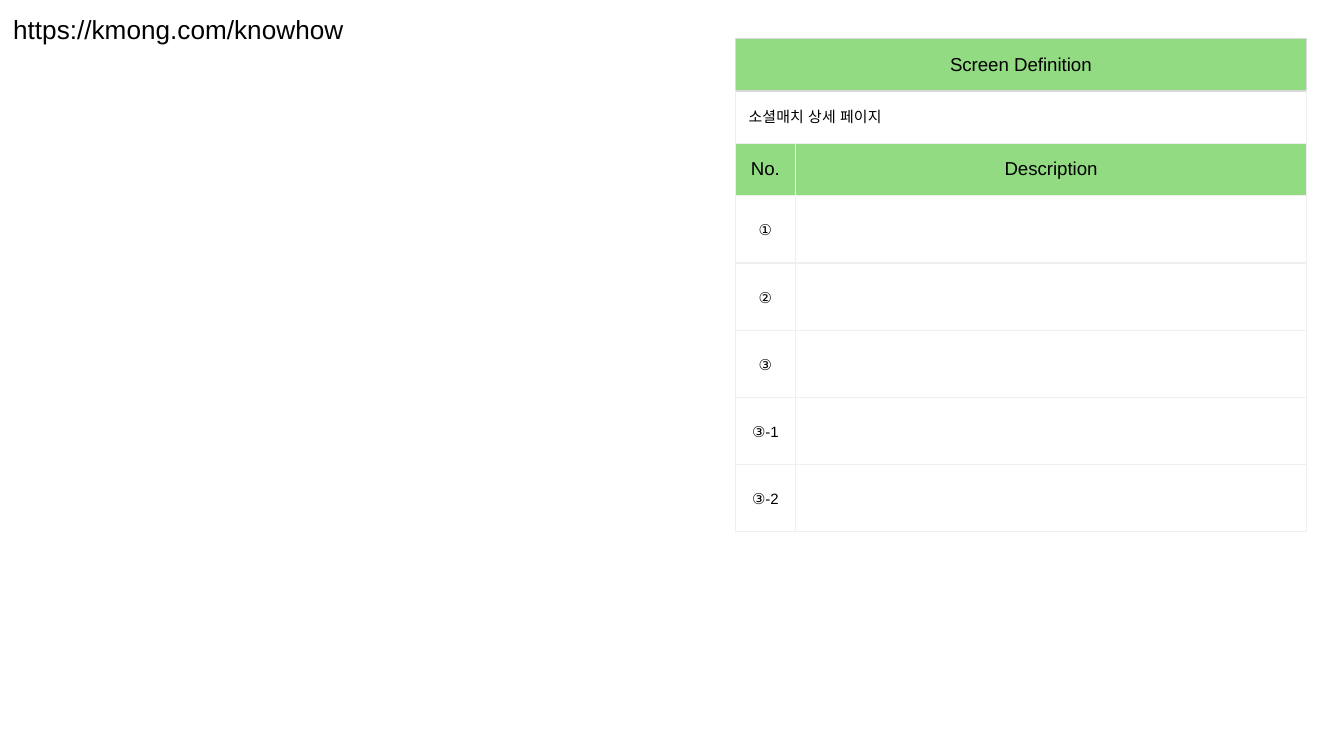
from lxml import etree
from pptx import Presentation
from pptx.dml.color import RGBColor
from pptx.enum.text import MSO_ANCHOR, PP_ALIGN
from pptx.oxml.ns import qn
from pptx.util import Inches, Pt

CENTER, LEFT = PP_ALIGN.CENTER, PP_ALIGN.LEFT
MIDDLE = MSO_ANCHOR.MIDDLE
COLORS = {"text": "000000", "header": "92DB82", "grid": "EFEFEF", "title_edge": "D9D9D9"}
FONT = "Arial"
INSET = Inches(0.1)
SLIDE_W = 10
SLIDE_H = SLIDE_W * 9 / 16
COLUMN_SHARES = (0.45 / 4.25, 3.8 / 4.25)
HEADER_H, ITEM_H = 0.39, 0.5
HEADER_ROWS = (("Screen Definition",), ("소셜매치 상세 페이지",), ("No.", "Description"))
ITEMS = ("①", "②", "③", "③-1", "③-2")


def write(frame, text, size, align):
    """Put one formatted paragraph into a text frame."""
    frame.text = text
    paragraph = frame.paragraphs[0]
    paragraph.alignment = align
    run = paragraph.runs[0]
    run.font.name, run.font.size = FONT, Pt(size)
    run.font.color.rgb = RGBColor.from_string(COLORS["text"])
    etree.SubElement(run._r.get_or_add_rPr(), qn("a:ea"), typeface=FONT)
    return paragraph


def set_insets(holder):
    """Give a text frame or table cell even insets."""
    holder.margin_left = holder.margin_right = INSET
    holder.margin_top = holder.margin_bottom = INSET


def write_cell(cell, text, size, align):
    """Put vertically centred text into a table cell."""
    set_insets(cell)
    cell.vertical_anchor = MIDDLE
    return write(cell.text_frame, text, size, align)


def style_cell(cell, edges, fill=None):
    """Draw the four borders of a cell and set its fill."""
    properties = cell._tc.get_or_add_tcPr()
    for side, color in zip("LRTB", edges):
        line = etree.SubElement(properties, qn(f"a:ln{side}"), w=str(Pt(0.75)))
        solid = etree.SubElement(line, qn("a:solidFill"))
        etree.SubElement(solid, qn("a:srgbClr"), val=COLORS[color])
    if fill:
        cell.fill.solid()
        cell.fill.fore_color.rgb = RGBColor.from_string(COLORS[fill])
    else:
        cell.fill.background()


def add_address(slide, left, top, width, height):
    """Place the page address in its box."""
    box = slide.shapes.add_textbox(*map(Inches, (left, top, width, height)))
    box.text_frame.word_wrap = True
    set_insets(box.text_frame)
    write(box.text_frame, "https://kmong.com/knowhow", 14, LEFT)


def add_definition_table(slide, left, top, width):
    """Build the screen definition table across the given width."""
    heights = [HEADER_H] * len(HEADER_ROWS) + [ITEM_H] * len(ITEMS)
    table = slide.shapes.add_table(
        len(heights), len(COLUMN_SHARES),
        *map(Inches, (left, top, width, sum(heights)))).table
    table.first_row = table.horz_banding = False
    for column, share in zip(table.columns, COLUMN_SHARES):
        column.width = Inches(width * share)

    for index, height in enumerate(heights):
        table.rows[index].height = Inches(height)
        edges = ["grid"] * 4
        if index == 0:
            edges = ["title_edge"] * 4
        elif index == 1:
            edges[2] = "title_edge"
        for cell in table.rows[index].cells:
            style_cell(cell, edges, "header" if index in (0, 2) else None)

    for index, labels in enumerate(HEADER_ROWS):
        if len(labels) == 1:
            table.cell(index, 0).merge(table.cell(index, 1))
        size, align = (8, LEFT) if index == 1 else (10, CENTER)
        for column, label in enumerate(labels):
            write_cell(table.cell(index, column), label, size, align)

    for index, number in enumerate(ITEMS, len(HEADER_ROWS)):
        write_cell(table.cell(index, 0), number, 8, CENTER).line_spacing = 1.15


def main():
    """Create the slide and save it."""
    deck = Presentation()
    deck.slide_width, deck.slide_height = Inches(SLIDE_W), Inches(SLIDE_H)
    slide = deck.slides.add_slide(deck.slide_layouts[6])
    add_address(slide, 0, 0, SLIDE_W * 0.3, SLIDE_H * 0.08)
    add_definition_table(slide, SLIDE_W * 0.547, SLIDE_H * 0.051, SLIDE_W * 0.425)
    deck.save("out.pptx")


if __name__ == "__main__":
    main()
